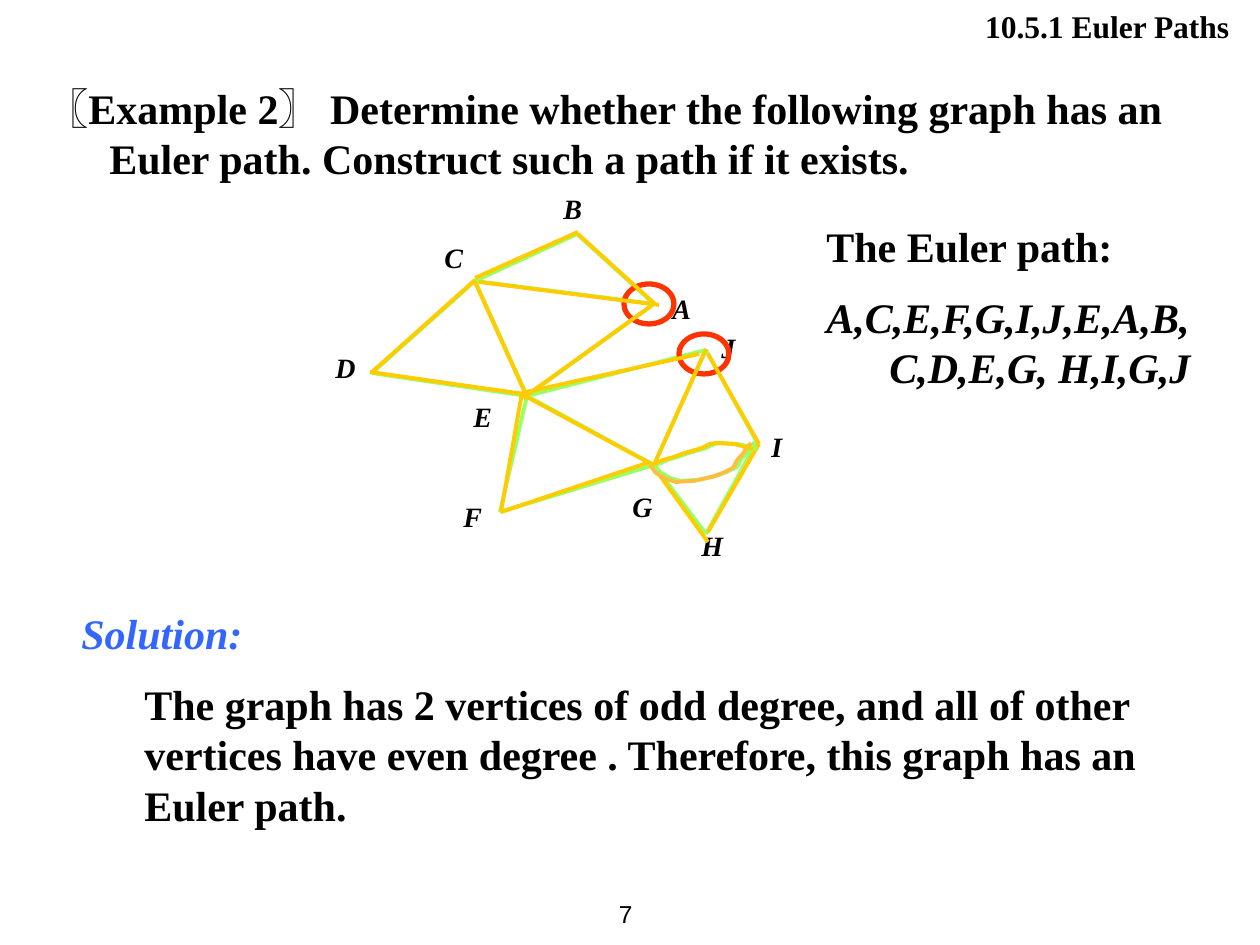
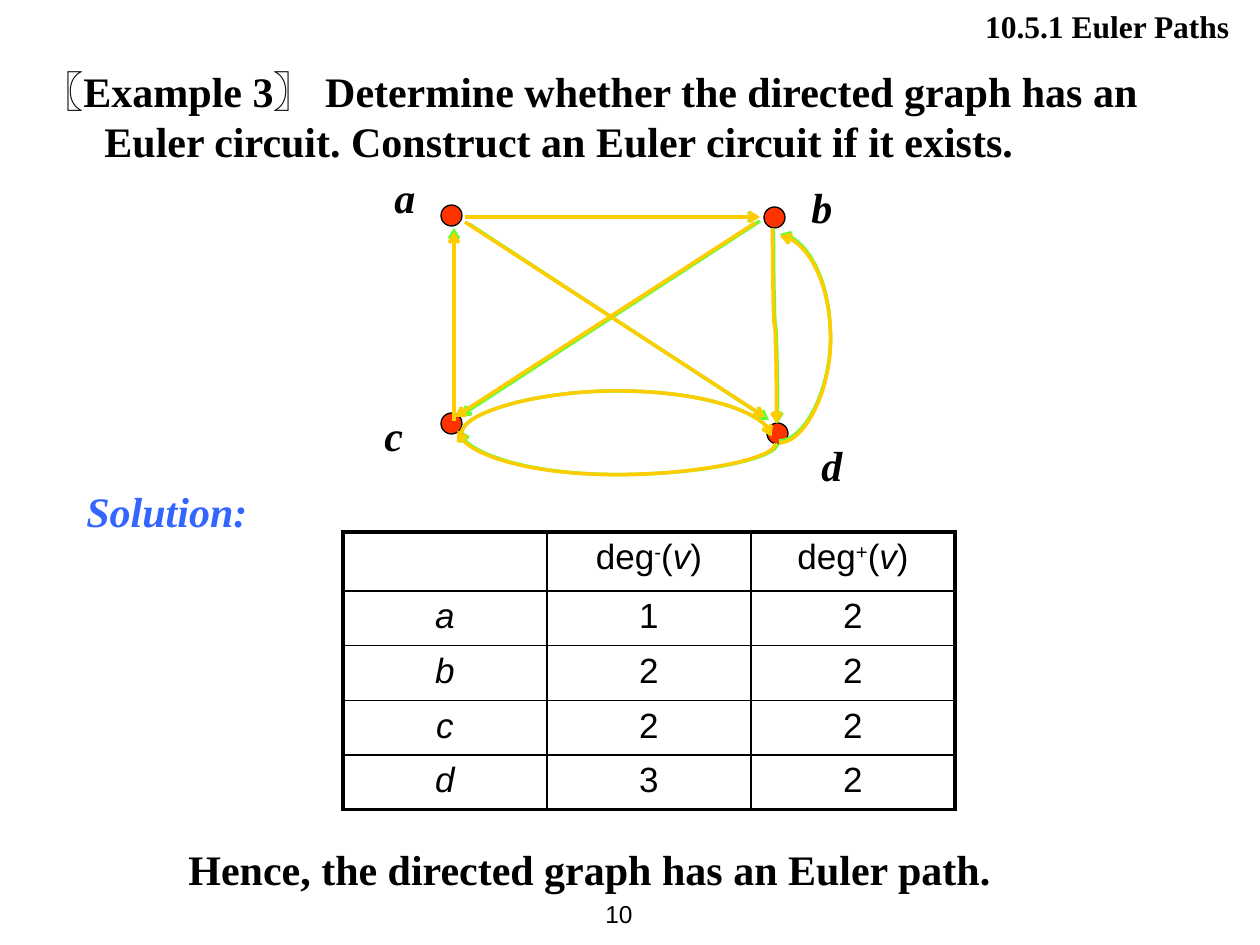
from lxml.etree import SubElement
from pptx import Presentation
from pptx.dml.color import RGBColor
from pptx.enum.shapes import MSO_CONNECTOR, MSO_SHAPE
from pptx.enum.text import MSO_ANCHOR, MSO_AUTO_SIZE, PP_ALIGN
from pptx.oxml.ns import qn
from pptx.util import Inches, Pt

PX = Inches(1) / 126
BLACK = RGBColor(0x00, 0x00, 0x00)
BLUE = RGBColor(0x33, 0x66, 0xFF)
RED = RGBColor(0xFF, 0x33, 0x00)
YELLOW = RGBColor(0xFF, 0xCC, 0x00)
ORANGE = RGBColor(0xFF, 0xBE, 0x40)
PALE_GREEN = RGBColor(0x99, 0xFF, 0x66)
GREEN = RGBColor(0x66, 0xFF, 0x33)

BODY = {"name": "Times New Roman", "size": Pt(24), "bold": True}
ITALIC = {**BODY, "italic": True}
BRACKET = {**BODY, "name": "Arial"}
LABEL = {**ITALIC, "size": Pt(16)}
HEADER = {**BODY, "size": Pt(18)}
NUMBER = {"name": "Arial", "size": Pt(14)}
CELL = {"name": "Arial", "size": Pt(20)}
INDENT = 63


def write(shape, paragraphs, align=PP_ALIGN.LEFT, indents=()):
    """Fill a shape or cell; each run is (text, font format, colour), each indent (margin, first line)."""
    tf = shape.text_frame
    tf.word_wrap = True
    for i, runs in enumerate(paragraphs):
        p = tf.add_paragraph() if i else tf.paragraphs[0]
        p.alignment = align
        if i:
            p.space_before = Pt(12)
        if indents:
            margin, first = indents[i]
            pPr = p._p.get_or_add_pPr()
            pPr.set("marL", str(int(margin * PX)))
            pPr.set("indent", str(int(first * PX)))
        for text, font, color in runs:
            r = p.add_run()
            r.text = text
            for key, value in font.items():
                setattr(r.font, key, value)
            r.font.color.rgb = color
    return tf


def connect(s, start, end, color, width, arrow=None, kind=MSO_CONNECTOR.STRAIGHT):
    """Draw a connector; arrow is None, headEnd (at the start) or tailEnd (at the end)."""
    c = s.shapes.add_connector(kind, *[int(v * PX) for v in (*start, *end)])
    c.line.color.rgb = color
    c.line.width = Pt(width)
    if arrow:
        SubElement(c.line._get_or_add_ln(), qn("a:" + arrow), type="arrow")
    SubElement(c._element.spPr, qn("a:effectLst"))
    return c


prs = Presentation()
prs.slide_width, prs.slide_height = Inches(10), Inches(7.5)

HANG, INSET = (INDENT, -INDENT), (INDENT, 0)
pages = [
    ("7", "Example 2", (34, 76),
     "Determine whether the following graph has an Euler path. "
     "Construct such a path if it exists."),
    ("10", "Example 3", (29, 59),
     "Determine whether the directed graph has an Euler circuit. "
     "Construct an Euler circuit if it exists."),
]
for number, example, (x, y), question in pages:
    s = prs.slides.add_slide(prs.slide_layouts[5])
    title = s.shapes.title
    title.left, title.top, title.width, title.height = [int(v * PX) for v in (501, 1, 741, 50)]
    tf = write(title, [[("10.5.1 Euler Paths", HEADER, BLACK)]], PP_ALIGN.RIGHT)
    tf.vertical_anchor = MSO_ANCHOR.TOP
    tf.auto_size = MSO_AUTO_SIZE.NONE

    box = s.shapes.add_textbox(*[int(v * PX) for v in (561, 882, 84, 63)])
    tf = write(box, [[(number, NUMBER, BLACK)]], PP_ALIGN.RIGHT)
    tf.vertical_anchor = MSO_ANCHOR.MIDDLE

    box = s.shapes.add_textbox(*[int(v * PX) for v in (x, y, 1152, 113)])
    write(box, [[("〖", BRACKET, BLACK), (example, BODY, BLACK), ("〗 ", BRACKET, BLACK),
                 (question, BODY, BLACK)]], indents=[HANG])

graph_slide, digraph_slide = prs.slides

# Undirected graph
s = graph_slide
vertices = {"A": (654, 304), "B": (577, 234), "C": (475, 281), "D": (372, 373),
            "E": (527, 396), "F": (500, 512), "G": (654, 465), "H": (706, 534),
            "I": (757, 442), "J": (706, 350)}
for u, v in "CD DE EC GJ GE FG JE CB CA BA AE EF JI GH HI".split():
    connect(s, vertices[u], vertices[v], PALE_GREEN, 2.25)

path_lines = [
    (475, 280, 372, 372), (370, 372, 524, 394), (527, 397, 475, 282),
    (654, 465, 706, 349), (655, 466, 527, 397), (475, 278, 578, 232),
    (479, 282, 659, 305), (578, 234, 655, 304), (651, 306, 523, 398),
    (501, 512, 522, 393), (650, 462, 501, 512), (759, 444, 708, 354),
    (522, 393, 699, 354), (708, 542, 650, 462), (708, 532, 759, 444),
]
upper_arc = [(654, 465), (661, 463), (667, 460), (678, 457), (683, 455), (689, 453),
             (706, 448), (714, 444), (720, 443), (738, 444), (757, 449)]
lower_arc = [(654, 464), (660, 472), (670, 478), (680, 481), (698, 480), (716, 476),
             (727, 472), (737, 467), (742, 458), (747, 453), (750, 448), (755, 442)]
arcs = [(upper_arc, 0, 0, PALE_GREEN), (lower_arc, 0, 0, PALE_GREEN),
        (lower_arc, -4, 1, ORANGE), (upper_arc, -4, 0, YELLOW)]

labels = {"B": (551, 185), "C": (432, 234), "D": (323, 344), "E": (461, 393),
          "F": (451, 493), "G": (620, 483), "H": (689, 522), "I": (759, 423),
          "J": (709, 324), "A": (660, 285)}
for name, (x, y) in labels.items():
    box = s.shapes.add_textbox(*[int(v * PX) for v in (x, y, 48, 42)])
    write(box, [[(name, LABEL, BLACK)]], PP_ALIGN.JUSTIFY)

box = s.shapes.add_textbox(*[int(v * PX) for v in (69, 601, 1152, 239)])
write(box, [[("Solution:", ITALIC, BLUE)],
            [("The graph has 2 vertices of odd degree, and all of other vertices have "
              "even degree . Therefore, this graph has an Euler path.", BODY, BLACK)]],
      indents=[HANG, INSET])

for x, y in [(624, 284), (679, 334)]:
    ring = s.shapes.add_shape(MSO_SHAPE.OVAL, *[int(v * PX) for v in (x, y, 50, 40)])
    ring.shadow.inherit = False
    ring.fill.background()
    ring.line.color.rgb = RED
    ring.line.width = Pt(3)

for x1, y1, x2, y2 in path_lines:
    connect(s, (x1, y1), (x2, y2), YELLOW, 2.25)
for points, dx, dy, color in arcs:
    moved = [(x + dx, y + dy) for x, y in points]
    builder = s.shapes.build_freeform(*moved[0], scale=PX)
    builder.add_line_segments(moved[1:], close=False)
    arc = builder.convert_to_shape()
    arc.shadow.inherit = False
    arc.fill.background()
    arc.line.color.rgb = color
    arc.line.width = Pt(2.25)

box = s.shapes.add_textbox(*[int(v * PX) for v in (814, 214, 412, 189)])
write(box, [[("The Euler path:", BODY, BLACK)],
            [("A,C,E,F,G,I,J,E,A,B,C,D,E,G, H,I,G,J", ITALIC, BLACK)]],
      indents=[HANG, HANG])

# Directed graph
s = digraph_slide
for x, y in [(764, 207), (441, 205), (441, 413), (767, 423)]:
    dot = s.shapes.add_shape(MSO_SHAPE.FLOWCHART_CONNECTOR,
                             *[int(v * PX) for v in (x, y, 21, 21)])
    dot.shadow.inherit = False
    dot.fill.solid()
    dot.fill.fore_color.rgb = RED
    dot.line.color.rgb = BLACK
    dot.line.width = Pt(0.75)

# Curves: unrotated box, rotation, flip, bend, arrow
layers = [
    (GREEN,
     [(454, 417, 454, 228), (465, 217, 759, 217), (760, 221, 460, 416), (469, 224, 769, 420)],
     [(612, 278, 13, 318, 270, "flipH", 3.4, "headEnd"),
      (615, 280, 3, 310, 270, "flipH", -14.3, "tailEnd"),
      (779, 234, 1, 207, 0, "flipV", 52, "tailEnd"),
      (678, 324, 195, 4, 90, "flipH", 0.5, "headEnd")]),
    (YELLOW,
     [(454, 421, 454, 232), (465, 217, 760, 217), (755, 223, 455, 417), (465, 222, 765, 417)],
     [(610, 278, 13, 318, 270, "flipH", 3.4, "headEnd"),
      (615, 280, 3, 310, 270, "flipH", -14.3, "tailEnd"),
      (779, 236, 1, 207, 0, "flipV", 52, "tailEnd"),
      (677, 324, 195, 4, 90, "flipH", 0.5, "headEnd")]),
]
for color, arrows, curves in layers:
    for x1, y1, x2, y2 in arrows:
        connect(s, (x1, y1), (x2, y2), color, 2, "tailEnd")
    for x, y, w, h, rotation, flip, bend, arrow in curves:
        c = connect(s, (x, y), (x + w, y + h), color, 2, arrow, MSO_CONNECTOR.CURVE)
        spPr = c._element.spPr
        xfrm = spPr.find(qn("a:xfrm"))
        xfrm.set("rot", str(rotation * 60000))
        xfrm.set(flip, "1")
        geometry = spPr.find(qn("a:prstGeom"))
        geometry.set("prst", "curvedConnector3")
        guides = geometry.find(qn("a:avLst"))
        if guides is None:
            guides = SubElement(geometry, qn("a:avLst"))
        SubElement(guides, qn("a:gd"), name="adj1", fmla=f"val {round(bend * 100000)}")

for name, x, y in [("a", 382, 165), ("c", 372, 403), ("b", 799, 175), ("d", 809, 433)]:
    box = s.shapes.add_textbox(*[int(v * PX) for v in (x, y, 47, 42)])
    write(box, [[(name, ITALIC, BLACK)]], PP_ALIGN.JUSTIFY)

box = s.shapes.add_textbox(*[int(v * PX) for v in (74, 479, 1052, 63)])
write(box, [[("Solution:", ITALIC, BLUE)]], indents=[HANG])

# Degree table
degrees = [("a", "1", "2"), ("b", "2", "2"), ("c", "2", "2"), ("d", "3", "2")]
table = s.shapes.add_table(5, 3, *[int(v * PX) for v in (343, 532, 612, 277)]).table
table.first_row = table.horz_banding = False
for col in table.columns:
    col.width = int(204 * PX)
for i, row in enumerate(table.rows):
    row.height = int((54 if i else 59) * PX)
    for j, cell in enumerate(row.cells):
        if i:
            font = {**CELL, "italic": j == 0}
            write(cell, [[(degrees[i - 1][j], font, BLACK)]], PP_ALIGN.CENTER)
        elif j:
            runs = [("deg", CELL, BLACK), ("-" if j == 1 else "+", CELL, BLACK),
                    ("(", CELL, BLACK), ("v", {**CELL, "italic": True}, BLACK),
                    (")", CELL, BLACK)]
            tf = write(cell, [runs], PP_ALIGN.CENTER)
            tf.paragraphs[0].runs[1].font._element.set("baseline", "30000")
        tcPr = cell._tc.get_or_add_tcPr()
        outer = {"lnL": j == 0, "lnR": j == 2, "lnT": i == 0, "lnB": i == 4}
        for side, is_outer in outer.items():
            ln = SubElement(tcPr, qn("a:" + side), w=str(Pt(2.25 if is_outer else 1)))
            fill = SubElement(ln, qn("a:solidFill"))
            SubElement(fill, qn("a:srgbClr"), val=str(BLACK))
        cell.fill.background()

box = s.shapes.add_textbox(*[int(v * PX) for v in (113, 837, 1116, 63)])
write(box, [[("Hence, the directed graph has an Euler path.", BODY, BLACK)]], indents=[INSET])

prs.save("out.pptx")
